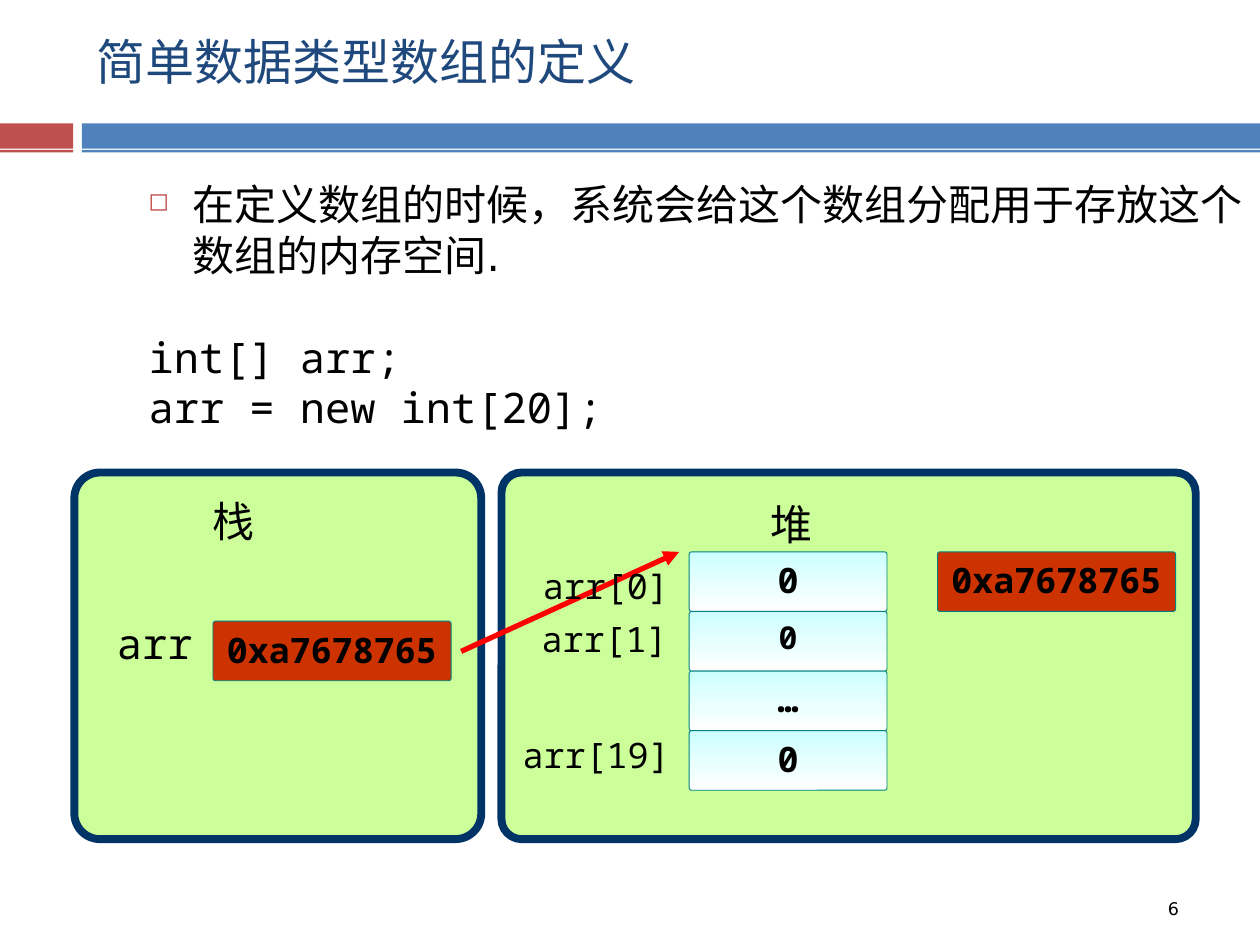
"""Build a slide showing how an int array is stored on the stack and the heap."""
from lxml import etree
from pptx import Presentation
from pptx.dml.color import RGBColor
from pptx.enum.shapes import MSO_CONNECTOR, MSO_SHAPE
from pptx.enum.text import MSO_ANCHOR, PP_ALIGN
from pptx.oxml.ns import qn
from pptx.util import Inches, Pt

RECT, ROUND = MSO_SHAPE.RECTANGLE, MSO_SHAPE.ROUNDED_RECTANGLE
STRAIGHT = MSO_CONNECTOR.STRAIGHT
TOP, MIDDLE = MSO_ANCHOR.TOP, MSO_ANCHOR.MIDDLE
LEFT, CENTER = PP_ALIGN.LEFT, PP_ALIGN.CENTER

THEME = {
    "sans": "DejaVu Sans", "mono": "Noto Sans Mono", "serif": "Times New Roman",
    "title": "1F497D", "text": "000000", "red": "C0504D", "blue": "4F81BD",
    "panel": "CCFF99", "frame": "003366", "address": "CC3300", "edge": "008080",
    "cell": ("CCFFFF", "FFFFFF"), "arrow": "FF0000",
    "title_sz": 28, "body_sz": 24, "cell_sz": 20, "small_sz": 18, "page_sz": 10,
}
W, H = 10, 7.5
PANEL_TOP, PANEL_H = 0.5 * H, 2.91
ROW_TOP, ROW_H = 4.38, 0.473
CELL_X, CELL_W, ADDRESS_W = 5.47, 1.57, 1.89

TITLE = "简单数据类型数组的定义"
BODY = "在定义数组的时候，系统会给这个数组分配用于存放这个数组的内存空间."
CODE = ["int[] arr;", "arr = new int[20];"]
ADDRESS = "0xa7678765"
BANDS = [(0, 0.58, "red"), (0.65, W - 0.65, "blue")]
BAND_ROWS = [(0.98, 0.2), (1.19, 0.02)]
PANELS = [(3.98, 5.51, 0.055), (0.59, 3.23, 0.07)]
CELLS = [("0", "cell_sz"), ("0", "small_sz"), ("…", "cell_sz"), ("0", "cell_sz")]
ADDRESSES = [(1.69, 4.93), (7.44, ROW_TOP)]
LABELS = [
    ("栈", 1.59, 3.88, 0.53, "serif", "body_sz"),
    ("堆", 6.02, 3.91, 0.53, "serif", "body_sz"),
    ("arr", 0.83, 4.85, 0.81, "mono", "body_sz"),
    ("arr[0]", 4.21, 4.43, 1.2, "mono", "cell_sz"),
    ("arr[1]", 4.2, 4.85, 1.2, "mono", "cell_sz"),
    ("arr[19]", 4.05, 5.77, 1.37, "mono", "cell_sz"),
]
ARROW = (3.66, 5.17, 5.39, 4.38)


def rgb(name):
    return RGBColor.from_string(THEME[name])


def write(sp, lines, font, size, color="text", bold=False, align=LEFT, anchor=TOP, wrap=True):
    tf = sp.text_frame
    tf.text = "\n".join(lines)
    tf.word_wrap, tf.vertical_anchor = wrap, anchor
    for p in tf.paragraphs:
        p.alignment = align
        for r in p.runs:
            r.font.name, r.font.size, r.font.bold = THEME[font], Pt(THEME[size]), bold
            r.font.color.rgb = rgb(color)
    return tf


def add_text(slide, box, lines, font, size, **style):
    sp = slide.shapes.add_textbox(*map(Inches, box))
    return write(sp, lines, font, size, **style)


def add_box(slide, kind, box, fill, line=None, width=0.5, adj=0.041):
    sp = slide.shapes.add_shape(kind, *map(Inches, box))
    sp.shadow.inherit = False
    if kind == ROUND:
        sp.adjustments[0] = adj
    if fill == "cell":
        sp.fill.gradient()
        sp.fill.gradient_angle = 270
        for stop, color, pos in zip(sp.fill.gradient_stops, THEME["cell"], (0, 1)):
            stop.color.rgb, stop.position = RGBColor.from_string(color), pos
    else:
        sp.fill.solid()
        sp.fill.fore_color.rgb = rgb(fill)
    if line:
        sp.line.color.rgb, sp.line.width = rgb(line), Pt(width)
    else:
        sp.line.fill.background()
    return sp


def add_value(slide, box, fill, text, size="cell_sz"):
    sp = add_box(slide, ROUND, box, fill, "edge")
    write(sp, [text], "mono", size, bold=True, align=CENTER)


def add_bullet(p):
    ppr = p._p.get_or_add_pPr()
    ppr.set("marL", str(Inches(0.35)))
    ppr.set("indent", str(-Inches(0.35)))
    clr = etree.SubElement(ppr, qn("a:buClr"))
    etree.SubElement(clr, qn("a:srgbClr"), val=THEME["red"])
    etree.SubElement(ppr, qn("a:buSzPct"), val="60000")
    etree.SubElement(ppr, qn("a:buChar"), char="◻")


def add_arrow(slide, ends):
    sp = slide.shapes.add_connector(STRAIGHT, *map(Inches, ends))
    sp.line.color.rgb, sp.line.width = rgb("arrow"), Pt(3)
    etree.SubElement(sp.line._get_or_add_ln(), qn("a:tailEnd"), type="triangle")
    etree.SubElement(sp._element.spPr, qn("a:effectLst"))


def main():
    prs = Presentation()
    prs.slide_width, prs.slide_height = Inches(W), Inches(H)
    slide = prs.slides.add_slide(prs.slide_layouts[6])

    for y, h in BAND_ROWS:
        for x, w, color in BANDS:
            add_box(slide, RECT, (x, y, w, h), color)

    add_text(slide, (0.67, 0.01, 8.92, 0.94), [TITLE], "sans", "title_sz",
             color="title", anchor=MIDDLE)
    tf = add_text(slide, (1.08, 1.37, 8.92, 5.31), [BODY], "sans", "body_sz")
    tf.paragraphs[0].space_before = Pt(7)
    add_bullet(tf.paragraphs[0])

    for x, w, adj in PANELS:
        add_box(slide, ROUND, (x, PANEL_TOP, w, PANEL_H), "panel", "frame", 4.5, adj)

    tf = add_text(slide, (1.06, 2.57, 6.46, 0.92), CODE, "mono", "body_sz")
    tf.margin_left = tf.margin_right = Inches(0.12)
    tf.margin_top = tf.margin_bottom = Inches(0.06)

    for i, (text, size) in enumerate(CELLS):
        box = (CELL_X, ROW_TOP + i * ROW_H, CELL_W, ROW_H)
        add_value(slide, box, "cell", text, size)
    for x, y in ADDRESSES:
        add_value(slide, (x, y, ADDRESS_W, ROW_H), "address", ADDRESS)

    add_arrow(slide, ARROW)
    for text, x, y, w, font, size in LABELS:
        h = 0.5 if size == "body_sz" else 0.43
        add_text(slide, (x, y, w, h), [text], font, size, wrap=False)
    add_text(slide, (9.17, 7.08, 0.33, 0.37), ["6"], "sans", "page_sz")

    prs.save("out.pptx")


if __name__ == "__main__":
    main()
